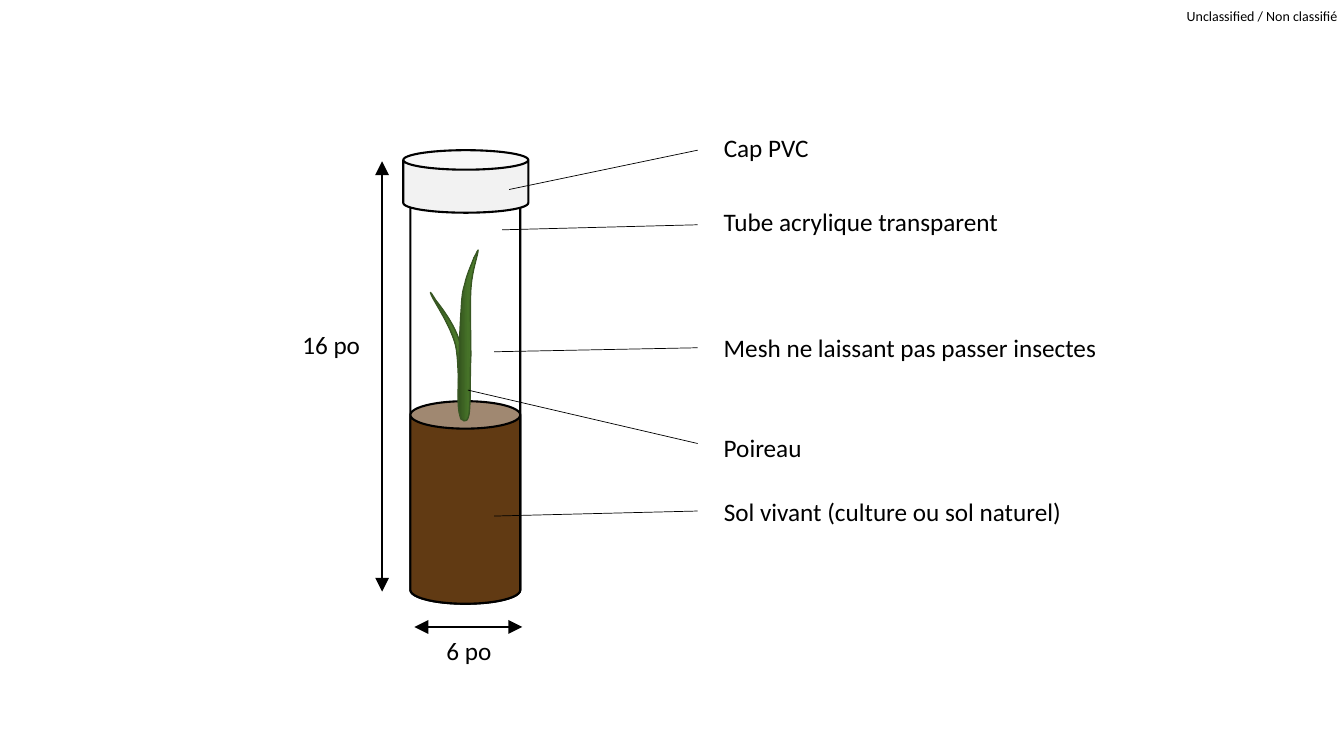
from copy import deepcopy
from dataclasses import dataclass

from lxml.etree import SubElement
from pptx import Presentation
from pptx.dml.color import RGBColor
from pptx.enum.shapes import MSO_CONNECTOR, MSO_SHAPE
from pptx.enum.text import MSO_AUTO_SIZE
from pptx.oxml.ns import qn
from pptx.util import Inches, Pt


@dataclass(frozen=True)
class Theme:
    font: str = "Calibri"
    ink: str = "000000"
    soil: str = "613A13"
    cap: str = "F2F2F2"
    edge: str = "385723"
    leaf: tuple = ("31501C", "467228", "538730")
    body: int = 18
    small: int = 10
    thick: float = 1.5
    thin: float = 0.5


@dataclass(frozen=True)
class Box:
    left: float
    top: float
    width: float
    height: float

    def emu(self):
        return [Inches(n) for n in (self.left, self.top, self.width, self.height)]


THEME = Theme()

# Leaves, in inches from the plant's corner: bounds, start point, cubic curves
LEAVES = (
    (Box(0, 0.42, 0.37, 1.27), (0.29, 1.63), (
        (0.27, 1.52, 0.29, 1.14, 0.25, 0.95),
        (0.20, 0.75, 0.04, 0.52, 0.01, 0.45),
        (-0.02, 0.38, 0.02, 0.45, 0.06, 0.51),
        (0.11, 0.57, 0.21, 0.71, 0.26, 0.83),
        (0.31, 0.95, 0.34, 1.10, 0.36, 1.23),
        (0.38, 1.36, 0.37, 1.54, 0.37, 1.61),
        (0.37, 1.67, 0.37, 1.63, 0.36, 1.64),
        (0.34, 1.64, 0.31, 1.75, 0.29, 1.63))),
    (Box(0.27, 0, 0.2, 1.69), (0.38, 1.64), (
        (0.40, 1.54, 0.39, 1.25, 0.40, 1.05),
        (0.40, 0.84, 0.39, 0.56, 0.40, 0.39),
        (0.41, 0.22, 0.46, 0.08, 0.47, 0.02),
        (0.48, -0.03, 0.46, 0.03, 0.43, 0.08),
        (0.41, 0.14, 0.36, 0.24, 0.34, 0.34),
        (0.31, 0.43, 0.31, 0.51, 0.30, 0.66),
        (0.29, 0.82, 0.28, 1.11, 0.28, 1.27),
        (0.27, 1.43, 0.27, 1.57, 0.29, 1.63),
        (0.30, 1.69, 0.36, 1.74, 0.38, 1.64))),
)

# Labels: text, width, text top, line start (x, y), line end y, from the tube's corner
LABELS = (
    ("Cap PVC", 1.05, -0.34, (0.98, 0.28), -0.11),
    ("Tube acrylique transparent", 2.96, 0.4, (0.91, 0.68), 0.63),
    ("Mesh ne laissant pas passer insectes", 3.94, 1.65, (0.83, 1.89), 1.85),
    ("Poireau", 0.97, 2.64, (0.57, 2.27), 2.8),
    ("Sol vivant (culture ou sol naturel)", 3.59, 3.27, (0.83, 3.52), 3.47),
)


def rgb(code):
    return RGBColor.from_string(code)


def write(slide, box, text, size=THEME.body, inset=True):
    frame = slide.shapes.add_textbox(*box.emu()).text_frame
    frame.word_wrap = not inset
    frame.auto_size = MSO_AUTO_SIZE.SHAPE_TO_FIT_TEXT
    if not inset:
        frame.margin_left = frame.margin_right = 0
        frame.margin_top = frame.margin_bottom = 0
    run = frame.paragraphs[0].add_run()
    run.text = text
    run.font.name = THEME.font
    run.font.size = Pt(size)
    run.font.color.rgb = rgb(THEME.ink)


def rule(slide, start, end, width=THEME.thin, arrows=False):
    ends = [Inches(n) for n in (*start, *end)]
    line = slide.shapes.add_connector(MSO_CONNECTOR.STRAIGHT, *ends)
    line.line.color.rgb = rgb(THEME.ink)
    line.line.width = Pt(width)
    if arrows:
        for tag in ("a:headEnd", "a:tailEnd"):
            SubElement(line.line._ln, qn(tag), type="triangle", w="lg", len="lg")
    SubElement(line._element.spPr, qn("a:effectLst"))


def can(slide, box, fill=None, lid=0.25):
    shape = slide.shapes.add_shape(MSO_SHAPE.CAN, *box.emu())
    shape.shadow.inherit = False
    shape.adjustments[0] = lid
    if fill:
        shape.fill.solid()
        shape.fill.fore_color.rgb = rgb(fill)
    else:
        shape.fill.background()
    shape.line.color.rgb = rgb(THEME.ink)
    shape.line.width = Pt(THEME.thick)


def curve(shape, box, start, curves):
    """Give a freeform an outline of cubic curves, placed within its box."""
    outline = shape._element.spPr.find(".//" + qn("a:path"))
    for step in list(outline):
        outline.remove(step)
    steps = [("a:moveTo", start)] + [("a:cubicBezTo", points) for points in curves]
    for tag, points in steps:
        step = SubElement(outline, qn(tag))
        for x, y in zip(points[::2], points[1::2]):
            SubElement(step, qn("a:pt"), x=str(Inches(x - box.left)),
                       y=str(Inches(y - box.top)))
    SubElement(outline, qn("a:close"))


def shade(shape):
    shape.fill.gradient()
    shape.fill.gradient_angle = 0
    stops = shape._element.spPr.find(".//" + qn("a:gsLst"))
    stops.append(deepcopy(stops[-1]))
    for stop, place, code in zip(shape.fill.gradient_stops, (0, 0.5, 1), THEME.leaf):
        stop.position = place
        stop.color.rgb = rgb(code)


def plant(slide, box):
    for area, start, curves in LEAVES:
        left, top, width, height = area.emu()
        pen = slide.shapes.build_freeform(left, top)
        pen.add_line_segments([(left + width, top + height)], close=True)
        leaf = pen.convert_to_shape(Inches(box.left), Inches(box.top))
        curve(leaf, area, start, curves)
        leaf.shadow.inherit = False
        shade(leaf)
        leaf.line.color.rgb = rgb(THEME.edge)
        leaf.line.width = Pt(1)


def tube(slide, box):
    can(slide, box)
    depth = 2.01
    can(slide, Box(box.left, box.top + box.height - depth, box.width, depth), THEME.soil)
    can(slide, Box(box.left - 0.07, box.top - 0.11, 1.24, 0.62), THEME.cap, 0.312)
    plant(slide, Box(box.left + 0.2, box.top + 0.88, 0.47, 1.69))


def sizes(slide, box):
    # Height
    x = box.left - 0.28
    rule(slide, (x, box.top), (x, box.top + 4.27), THEME.thick, arrows=True)
    write(slide, Box(box.left - 1.17, box.top + 1.62, 0.78, 0.4), "16 po")
    # Width
    y = box.top + box.height + 0.23
    rule(slide, (box.left + 1.11, y), (box.left + 0.04, y), THEME.thick, arrows=True)
    write(slide, Box(box.left + 0.26, y + 0.03, 0.65, 0.4), "6 po")


def labels(slide, box):
    for text, width, top, (x, y), end in LABELS:
        rule(slide, (box.left + x, box.top + y), (box.left + 2.85, box.top + end))
        write(slide, Box(box.left + 3.01, box.top + top, width, 0.4), text)


def main():
    deck = Presentation()
    deck.slide_width, deck.slide_height = Inches(13.33), Inches(7.5)
    slide = deck.slides.add_slide(deck.slide_layouts[6])
    body = Box(4.07, 1.6, 1.09, 4.39)
    write(slide, Box(11.77, 0.07, 1.52, 0.17), "Unclassified / Non classifié",
          size=THEME.small, inset=False)
    for part in (tube, sizes, labels):
        part(slide, body)
    deck.save("out.pptx")


if __name__ == "__main__":
    main()
